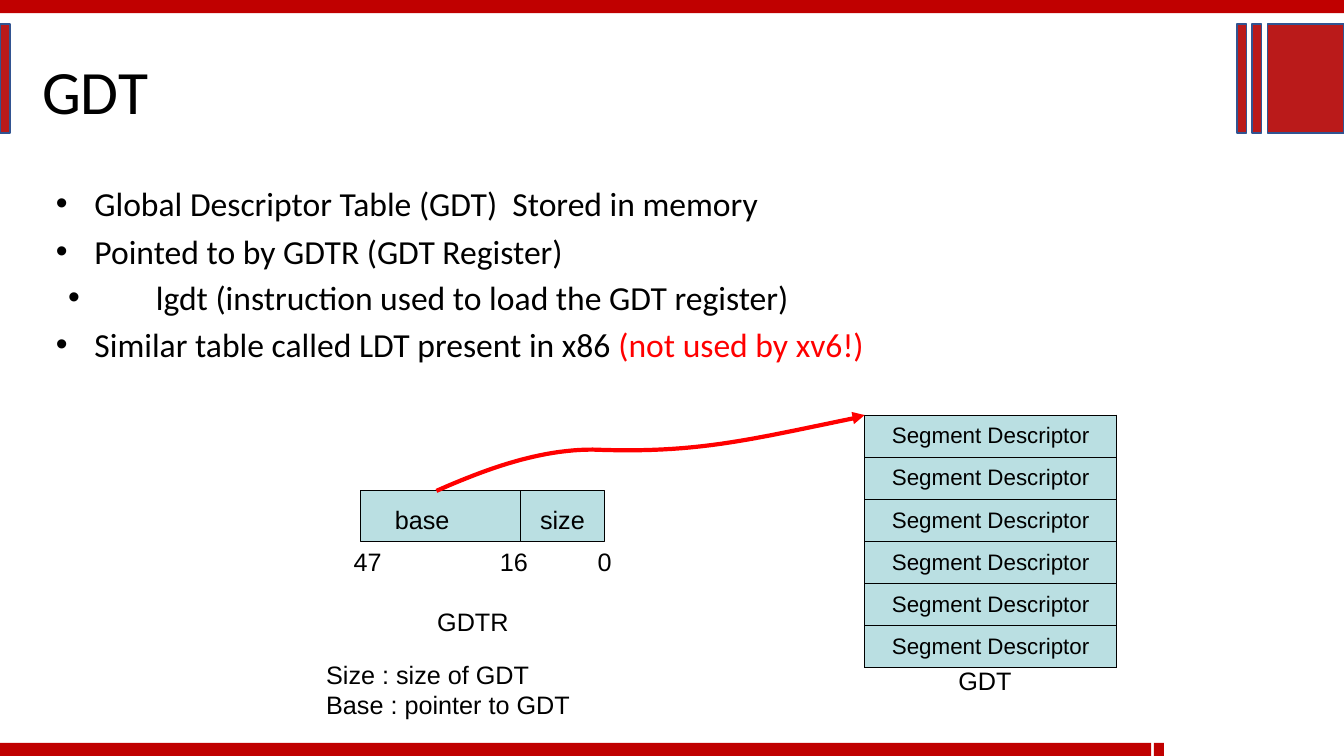
from lxml.etree import SubElement
from pptx import Presentation
from pptx.dml.color import RGBColor
from pptx.enum.shapes import MSO_SHAPE as SHAPE
from pptx.enum.text import MSO_ANCHOR as ANCHOR, PP_ALIGN as ALIGN
from pptx.oxml.ns import qn
from pptx.util import Cm, Pt

BLACK = RGBColor(0x00, 0x00, 0x00)
RED = RGBColor(0xFF, 0x00, 0x00)
BAR_RED = RGBColor(0xC0, 0x00, 0x00)
BLOCK_RED = RGBColor(0xBA, 0x1A, 0x1A)
BLOCK_EDGE = RGBColor(0x32, 0x54, 0x91)
CELL_BLUE = RGBColor(0xBA, 0xDF, 0xE2)

TITLE = {"name": "Calibri", "size": Pt(44)}
BODY = {"name": "Calibri", "size": Pt(24)}
LABEL = {"name": "Arial", "size": Pt(18)}
CELL = {"name": "Arial", "size": Pt(16)}


def put(obj, fmt):
    """Set every attribute named in fmt on obj."""
    for key, value in fmt.items():
        setattr(obj, key, value)


def add_run(p, text, font, color=BLACK):
    """Append a formatted run to a paragraph."""
    r = p.add_run()
    r.text = text
    put(r.font, font)
    r.font.color.rgb = color


def add_rect(s, x, y, w, h, fill, edge=None, width=0.75):
    """Draw a filled rectangle, outlined when an edge colour is given."""
    sp = s.shapes.add_shape(SHAPE.RECTANGLE, Cm(x), Cm(y), Cm(w), Cm(h))
    sp.shadow.inherit = False
    sp.fill.solid()
    sp.fill.fore_color.rgb = fill
    if edge is None:
        sp.line.fill.background()
    else:
        sp.line.color.rgb = edge
        sp.line.width = Pt(width)
    return sp


def add_label(s, x, y, w, h, *lines):
    """Place lines of label text in a box without side margins."""
    tf = s.shapes.add_textbox(Cm(x), Cm(y), Cm(w), Cm(h)).text_frame
    put(tf, {"word_wrap": True, "margin_left": 0, "margin_right": 0,
             "margin_top": Cm(0.03), "margin_bottom": 0})
    for i, line in enumerate(lines):
        p = tf.add_paragraph() if i else tf.paragraphs[0]
        add_run(p, line, LABEL)


def add_frame(s, w, h):
    """Draw the red bars and blocks round a slide of the given size."""
    bar, top, tall = 0.33, 0.61, 2.74
    add_rect(s, 0, 0, w, bar, BAR_RED)
    add_rect(s, 0, h - bar, 29.01, bar, BAR_RED)
    add_rect(s, 29.08, h - bar, 0.25, bar, BAR_RED)
    for x, wide in ((0, 0.25), (31.17, 0.25), (31.55, 0.25), (31.95, w - 31.95)):
        add_rect(s, x, top, wide, tall, BLOCK_RED, BLOCK_EDGE, 1)


def add_title(s, x, y, w, h):
    """Place the slide title."""
    tf = s.shapes.add_textbox(Cm(x), Cm(y), Cm(w), Cm(h)).text_frame
    tf.word_wrap = True
    add_run(tf.paragraphs[0], "GDT", TITLE)


def add_bullets(s, x, y, w, h):
    """Place the bulleted text."""
    main, sub = (0.99, -0.97), (2.54, -2.21)
    rows = [
        (main, {"line_spacing": 1.21},
         [("Global Descriptor Table (GDT)  Stored in memory", BLACK)]),
        (main, {"space_before": Pt(5.2)},
         [("Pointed to by GDTR (GDT Register)", BLACK)]),
        (sub, {"space_before": Pt(4.1)},
         [("lgdt (instruction used to load the GDT register)", BLACK)]),
        (main, {"space_before": Pt(5.1)},
         [("Similar table called LDT present in x86 ", BLACK),
          ("(not used by xv6!)", RED)]),
    ]
    tf = s.shapes.add_textbox(Cm(x), Cm(y), Cm(w), Cm(h)).text_frame
    tf.word_wrap = True
    for i, ((left, indent), spacing, runs) in enumerate(rows):
        p = tf.add_paragraph() if i else tf.paragraphs[0]
        pPr = p._p.get_or_add_pPr()
        pPr.set("marL", str(Cm(left)))
        pPr.set("indent", str(Cm(indent)))
        SubElement(pPr, qn("a:buFont"), typeface="Arial")
        SubElement(pPr, qn("a:buChar"), char="•")
        put(p, spacing)
        for text, color in runs:
            add_run(p, text, BODY, color)


def add_register(s, x, y, w, h):
    """Draw the GDTR register with its fields, bit numbers and legend."""
    split = 4.04
    fields = (("base", 0, split, 0.86), ("size", split, w - split, 0.48))
    for text, dx, wide, inset in fields:
        sp = add_rect(s, x + dx, y, wide, h, CELL_BLUE, BLACK)
        tf = sp.text_frame
        put(tf, {"vertical_anchor": ANCHOR.TOP, "margin_left": Cm(inset),
                 "margin_right": 0, "margin_top": Cm(0.33), "margin_bottom": 0})
        p = tf.paragraphs[0]
        p.alignment = ALIGN.LEFT
        add_run(p, text, LABEL)
    for bit, dx in (("47", -0.18), ("16", 3.51), ("0", 5.97)):
        add_label(s, x + dx, y + 1.37, 0.9, 0.84, bit)
    add_label(s, x + 1.93, y + 2.87, 1.9, 0.84, "GDTR")
    add_label(s, x - 0.87, y + 4.22, 6.6, 1.6,
              "Size : size of GDT", "Base : pointer to GDT")


def add_descriptors(s, x, y, w, h, count=6):
    """Draw the table of segment descriptors and its caption."""
    tbl = s.shapes.add_table(count, 1, Cm(x), Cm(y), Cm(w), Cm(h)).table
    put(tbl, {"first_row": False, "horz_banding": False})
    for row in tbl.rows:
        row.height = Cm(h / count)
        cell = row.cells[0]
        put(cell, {"margin_left": 0, "margin_right": 0, "margin_top": 0,
                   "margin_bottom": 0, "vertical_anchor": ANCHOR.MIDDLE})
        tcPr = cell._tc.get_or_add_tcPr()
        for side in ("lnL", "lnR", "lnT", "lnB"):
            ln = SubElement(tcPr, qn("a:" + side), w=str(Pt(0.75)))
            fill = SubElement(ln, qn("a:solidFill"))
            SubElement(fill, qn("a:srgbClr"), val=str(BLACK))
        cell.fill.solid()
        cell.fill.fore_color.rgb = CELL_BLUE
        p = cell.text_frame.paragraphs[0]
        p.alignment = ALIGN.CENTER
        add_run(p, "Segment Descriptor", CELL)
    add_label(s, x + 2.36, y + h - 0.08, 1.5, 0.84, "GDT")


def bezier(a, b, c, d, steps=24):
    """Return points along a cubic curve, leaving out its start."""
    ts = [i / steps for i in range(1, steps + 1)]
    return [tuple((1 - t) ** 3 * m + 3 * (1 - t) ** 2 * t * n
                  + 3 * (1 - t) * t ** 2 * o + t ** 3 * q
                  for m, n, o, q in zip(a, b, c, d)) for t in ts]


def add_outline(s, x, y, points, close):
    """Build a freeform through points measured from x, y."""
    pts = [(Cm(x + dx), Cm(y + dy)) for dx, dy in points]
    fb = s.shapes.build_freeform(*pts[0])
    fb.add_line_segments(pts[1:], close=close)
    sp = fb.convert_to_shape()
    sp.shadow.inherit = False
    return sp


def add_pointer(s, x, y, w, h):
    """Draw the curved arrow from bottom left to top right of its box."""
    start, bend, end = (0, h), (3.94, 0.87), (w - 0.27, 0.08)
    curve = [start, *bezier(start, (1.27, 1.35), (2.59, 0.87), bend),
             *bezier(bend, (6.53, 0.97), (7.8, 0.64), end)]
    sp = add_outline(s, x, y, curve, False)
    sp.fill.background()
    sp.line.color.rgb = RED
    sp.line.width = Pt(3)
    head = [(w - 0.33, -0.08), (w - 0.27, 0.23), (w, 0)]
    sp = add_outline(s, x, y, head, True)
    sp.fill.solid()
    sp.fill.fore_color.rgb = RED
    sp.line.fill.background()


def main():
    """Build the slide and save it."""
    prs = Presentation()
    put(prs, {"slide_width": Cm(33.87), "slide_height": Cm(19.05)})
    s = prs.slides.add_slide(prs.slide_layouts[6])
    add_frame(s, 33.87, 19.05)
    add_title(s, 0.81, 1.22, 27.3, 2.13)
    add_bullets(s, 1.14, 4.27, 31.57, 5.08)
    add_register(s, 9.09, 12.37, 6.15, 1.27)
    add_descriptors(s, 21.79, 10.46, 6.35, 6.36)
    add_pointer(s, 11, 10.46, 10.79, 1.91)
    prs.save("out.pptx")


if __name__ == "__main__":
    main()
